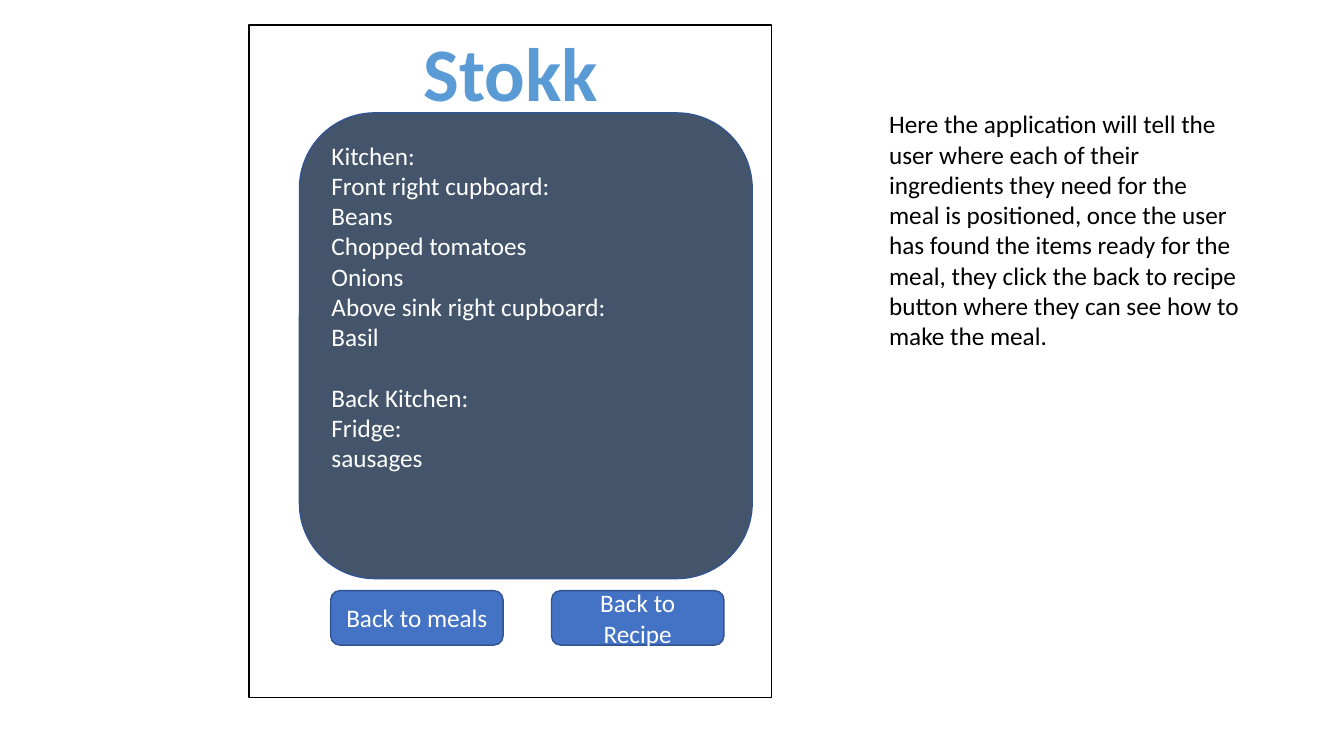
from dataclasses import dataclass

from lxml.etree import SubElement
from pptx import Presentation
from pptx.dml.color import RGBColor
from pptx.enum.shapes import MSO_SHAPE
from pptx.enum.text import MSO_ANCHOR, MSO_AUTO_SIZE, PP_ALIGN
from pptx.oxml.ns import qn
from pptx.util import Inches, Pt


@dataclass(frozen=True)
class Theme:
    font: str = "Calibri"
    title_size: int = 54
    body_size: int = 18
    white: str = "FFFFFF"
    black: str = "000000"
    title: str = "5B9BD5"
    panel: str = "44546A"
    button: str = "4472C4"
    edge: str = "325491"


theme = Theme()


def add_panel(preset, left, top, width, height, fill, edge):
    panel = slide.shapes.add_shape(
        preset, Inches(left), Inches(top), Inches(width), Inches(height))
    panel.shadow.inherit = False
    panel.fill.solid()
    panel.fill.fore_color.rgb = RGBColor.from_string(fill)
    panel.line.color.rgb = RGBColor.from_string(edge)
    panel.line.width = Pt(1)
    return panel


def add_run(paragraph, text, color, align=PP_ALIGN.LEFT, size=theme.body_size, bold=False):
    paragraph.alignment = align
    run = paragraph.add_run()
    run.text = text
    run.font.name = theme.font
    run.font.size = Pt(size)
    run.font.bold = bold
    run.font.color.rgb = RGBColor.from_string(color)
    return run


prs = Presentation()
prs.slide_width, prs.slide_height = Inches(13.33), Inches(7.5)
slide = prs.slides.add_slide(prs.slide_layouts[5])

# App screen
add_panel(MSO_SHAPE.RECTANGLE, 2.47, 0.25, 5.18, 6.67, theme.white, theme.black)

# App name, brought in front of the screen
app_name = slide.shapes.title
slide.shapes._spTree.append(app_name._element)
app_name.left, app_name.top = Inches(4.09), Inches(0.21)
app_name.width, app_name.height = Inches(1.95), Inches(1.01)
app_name.text_frame.word_wrap = False
app_name.text_frame.auto_size = MSO_AUTO_SIZE.SHAPE_TO_FIT_TEXT
app_name.text_frame.vertical_anchor = MSO_ANCHOR.TOP
name_run = add_run(app_name.text_frame.paragraphs[0], "Stokk", theme.title,
                   PP_ALIGN.CENTER, theme.title_size, True)
name_props = name_run.font._element
outline = SubElement(name_props, qn("a:ln"), w=str(Pt(0.75)))
SubElement(SubElement(outline, qn("a:solidFill")), qn("a:srgbClr"), val=theme.white)
name_props.insert(0, outline)

# Navigation buttons
for left, label in ((5.47, "Back to Recipe"), (3.28, "Back to meals")):
    button = add_panel(MSO_SHAPE.ROUNDED_RECTANGLE, left, 5.86, 1.71, 0.54,
                       theme.button, theme.edge)
    button.text_frame.vertical_anchor = MSO_ANCHOR.MIDDLE
    add_run(button.text_frame.paragraphs[0], label, theme.white, PP_ALIGN.CENTER)

# Ingredient locations, with a gap before the second room
rooms = (
    ("Kitchen:", "Front right cupboard:", "Beans", "Chopped tomatoes ", "Onions",
     "Above sink right cupboard:", "Basil"),
    ("Back Kitchen:", "Fridge:", "sausages"),
)
locations = add_panel(MSO_SHAPE.ROUNDED_RECTANGLE, 2.97, 1.12, 4.49, 4.62,
                      theme.panel, theme.edge).text_frame
locations.vertical_anchor = MSO_ANCHOR.TOP
paragraph = locations.paragraphs[0]
for room_index, room in enumerate(rooms):
    for line_index, line in enumerate(room):
        if room_index or line_index:
            paragraph = locations.add_paragraph()
        if room_index and not line_index:
            paragraph.space_before = Pt(21.6)
        add_run(paragraph, line, theme.white)

# Explanation
explanation = slide.shapes.add_textbox(
    Inches(8.72), Inches(1.03), Inches(3.69), Inches(2.52)).text_frame
explanation.word_wrap = True
explanation.auto_size = MSO_AUTO_SIZE.SHAPE_TO_FIT_TEXT
add_run(explanation.paragraphs[0],
        "Here the application will tell the user where each of their ingredients "
        "they need for the meal is positioned, once the user has found the items "
        "ready for the meal, they click the back to recipe button where they can "
        "see how to make the meal.", theme.black)

prs.save("out.pptx")
